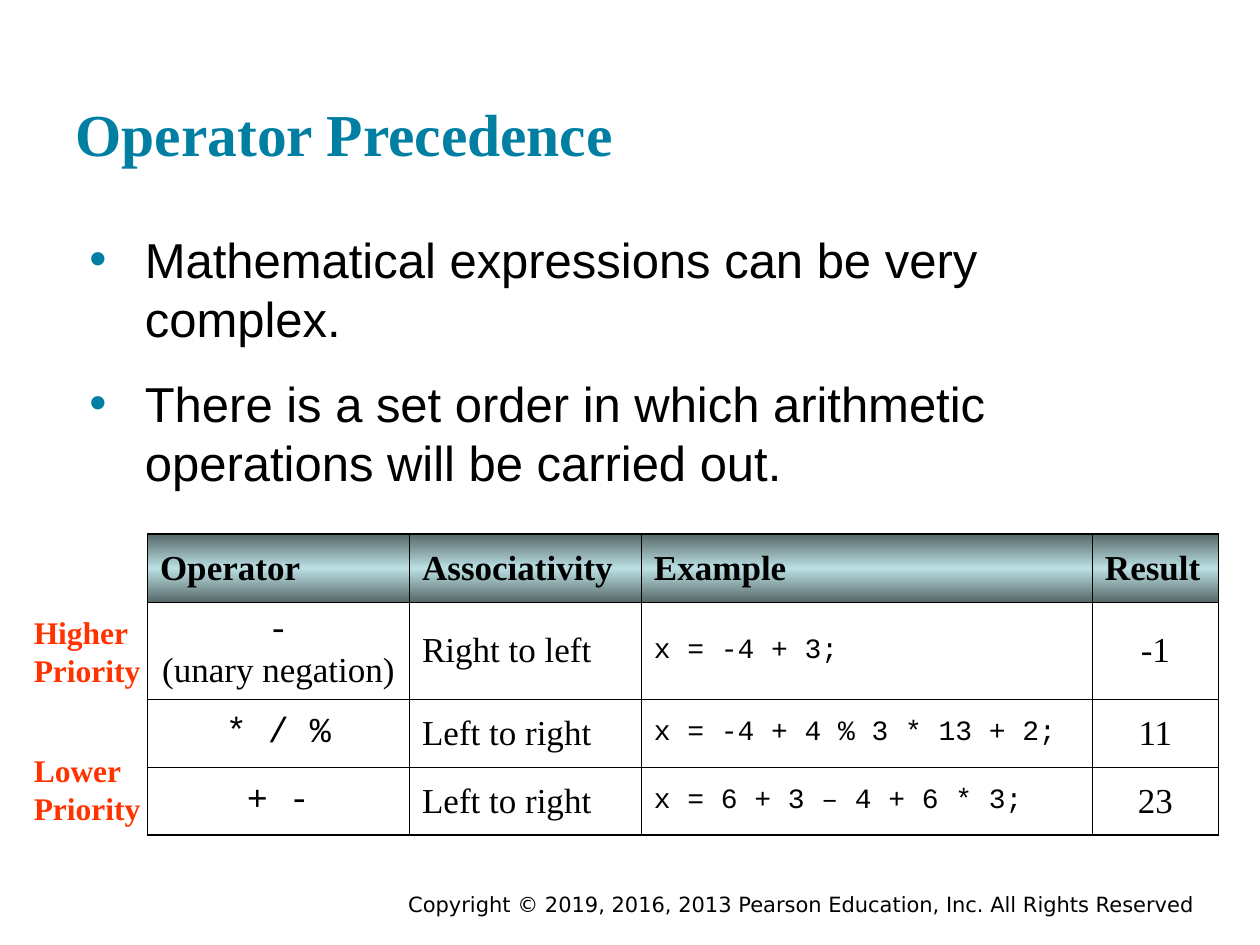
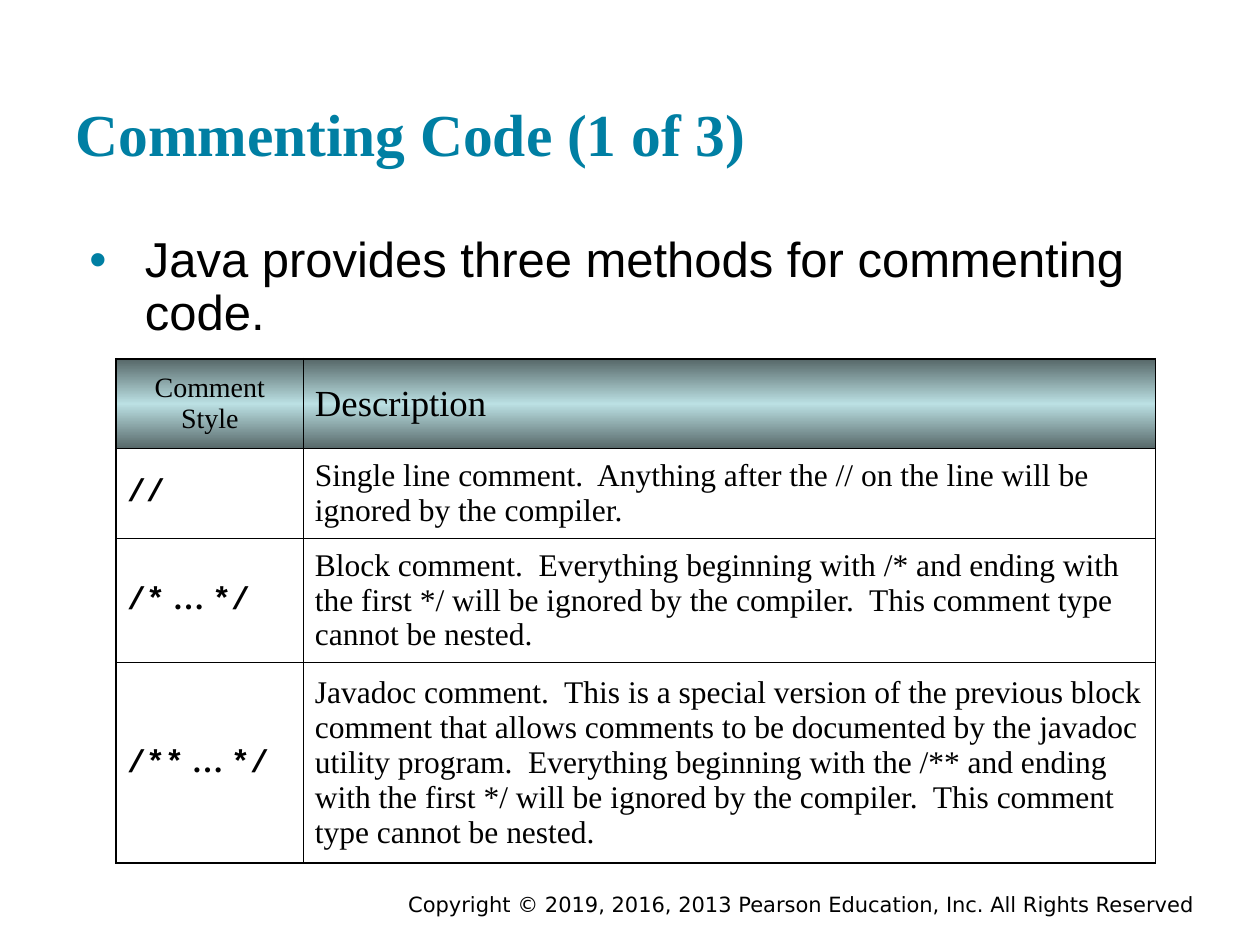
from dataclasses import dataclass
from typing import Sequence

from lxml import etree
from pptx import Presentation
from pptx.dml.color import RGBColor
from pptx.enum.text import MSO_ANCHOR as Anchor, MSO_AUTO_SIZE as AutoSize, PP_ALIGN as Align
from pptx.oxml import parse_xml
from pptx.oxml.ns import qn
from pptx.util import Pt

PX = 9144
NAMESPACE = "http://schemas.openxmlformats.org/drawingml/2006/main"
COLORS = {
    "text": "000000",
    "accent": "007FA3",
    "priority": "FF3300",
    "header_edge": "576869",
    "header_middle": "BBE0E3",
}
SERIF, SANS, MONO, FOOTER = "Times New Roman", "Arial", "Courier New", "DejaVu Sans"
INNER_LINE, OUTER_LINE = 0.45, 1.08
COPYRIGHT = "Copyright © 2019, 2016, 2013 Pearson Education, Inc. All Rights Reserved"


@dataclass(frozen=True)
class Style:
    font: str
    size: int
    bold: bool = False
    color: str = "text"


@dataclass(frozen=True)
class Box:
    left: int
    top: int
    width: int
    height: int

    def emu(self) -> list[int]:
        return [self.left * PX, self.top * PX, self.width * PX, self.height * PX]


@dataclass(frozen=True)
class Span:
    text: str
    style: Style


@dataclass(frozen=True)
class Cell:
    spans: tuple[Span, ...]
    align: Align = Align.LEFT


@dataclass(frozen=True)
class Grid:
    left: int
    top: int
    columns: tuple[int, ...]
    rows: tuple[int, ...]
    side_margin: int
    top_line: float
    cells: Sequence[Sequence[Cell]]


@dataclass(frozen=True)
class Label:
    lines: tuple[str, ...]
    box: Box


@dataclass(frozen=True)
class Page:
    title: str
    bullets: tuple[str, ...]
    body_top: int
    line_spacing: float
    grid: Grid
    labels: tuple[Label, ...] = ()


TITLE = Style(SERIF, 34, True, "accent")
BULLET = Style(SANS, 28)
COPYRIGHT_STYLE = Style(FOOTER, 12)
PRIORITY = Style(SERIF, 18, True, "priority")
HEADING = Style(SERIF, 20, True)
PLAIN = Style(SERIF, 20)
OPERATOR = Style(MONO, 20)
EXAMPLE = Style(MONO, 16)
MARK = Style(MONO, 18, True)
MARK_DOTS = Style(SERIF, 18, True)
DESCRIPTION = Style(SERIF, 18)


def cell(text: str, style: Style, align: Align = Align.LEFT) -> Cell:
    return Cell((Span(text, style),), align)


def operator_row(operator: Cell, order: str, example: str, result: str) -> list[Cell]:
    return [operator, cell(order, PLAIN), cell(example, EXAMPLE), cell(result, PLAIN, Align.CENTER)]


def block_mark(opening: str) -> Cell:
    return Cell((Span(opening, MARK), Span(" … ", MARK_DOTS), Span("*/", MARK)))


def set_attributes(target, values: dict) -> None:
    for name, value in values.items():
        setattr(target, name, value)


def write_span(paragraph, span: Span) -> None:
    style = span.style
    for index, line in enumerate(span.text.split("\n")):
        if index:
            paragraph.add_line_break()
        if line:
            run = paragraph.add_run()
            run.text = line
            set_attributes(run.font, {"name": style.font, "size": Pt(style.size), "bold": style.bold})
            run.font.color.rgb = RGBColor.from_string(COLORS[style.color])


def write_lines(frame, lines: Sequence[str], style: Style, paragraph_format: dict) -> None:
    for index, line in enumerate(lines):
        paragraph = frame.add_paragraph() if index else frame.paragraphs[0]
        set_attributes(paragraph, paragraph_format)
        write_span(paragraph, Span(line, style))


def format_placeholder(shape, box: Box, anchor: Anchor) -> None:
    set_attributes(shape, dict(zip(("left", "top", "width", "height"), box.emu())))
    margins = {f"margin_{side}": 10 * PX for side in ("left", "top", "right", "bottom")}
    set_attributes(shape.text_frame, {
        **margins, "word_wrap": True, "auto_size": AutoSize.NONE, "vertical_anchor": anchor,
    })


def add_bullet(paragraph) -> None:
    properties = paragraph._p.get_or_add_pPr()
    properties.set("marL", str(55 * PX))
    properties.set("indent", str(-44 * PX))
    bullet_color = etree.SubElement(properties, qn("a:buClr"))
    etree.SubElement(bullet_color, qn("a:srgbClr"), val=COLORS["accent"])
    etree.SubElement(properties, qn("a:buFont"), typeface=SANS)
    etree.SubElement(properties, qn("a:buChar"), char="•")


def draw_body(shape, page: Page) -> None:
    format_placeholder(shape, Box(50, page.body_top, 900, 495), Anchor.TOP)
    write_lines(shape.text_frame, page.bullets, BULLET, {"line_spacing": page.line_spacing})
    for index, paragraph in enumerate(shape.text_frame.paragraphs):
        paragraph.space_before = Pt(15 if index else 0)
        add_bullet(paragraph)


def draw_text(slide, box: Box, lines: Sequence[str], style: Style, frame_format: dict, align: Align) -> None:
    shape = slide.shapes.add_textbox(*box.emu())
    set_attributes(shape.text_frame, frame_format)
    write_lines(shape.text_frame, lines, style, {"alignment": align})


def border(side: str, width: float):
    return parse_xml(
        f'<a:ln{side} xmlns:a="{NAMESPACE}" w="{Pt(width)}"><a:solidFill>'
        f'<a:srgbClr val="{COLORS["text"]}"/></a:solidFill></a:ln{side}>'
    )


def header_gradient():
    stops = "".join(
        f'<a:gs pos="{position * 1000}"><a:srgbClr val="{COLORS[name]}"/></a:gs>'
        for position, name in ((0, "header_edge"), (50, "header_middle"), (100, "header_edge"))
    )
    return parse_xml(
        f'<a:gradFill xmlns:a="{NAMESPACE}" rotWithShape="1"><a:gsLst>{stops}</a:gsLst>'
        '<a:lin ang="5400000" scaled="0"/></a:gradFill>'
    )


def draw_grid(slide, grid: Grid) -> None:
    box = Box(grid.left, grid.top, sum(grid.columns), sum(grid.rows))
    table = slide.shapes.add_table(len(grid.rows), len(grid.columns), *box.emu()).table
    set_attributes(table, {"first_row": False, "horz_banding": False})
    for column, width in zip(table.columns, grid.columns):
        column.width = width * PX
    for row, height in zip(table.rows, grid.rows):
        row.height = height * PX
    last_row, last_column = len(grid.rows) - 1, len(grid.columns) - 1
    for row_index, row_cells in enumerate(grid.cells):
        for column_index, content in enumerate(row_cells):
            table_cell = table.cell(row_index, column_index)
            set_attributes(table_cell, {
                "vertical_anchor": Anchor.MIDDLE,
                "margin_left": grid.side_margin * PX, "margin_right": grid.side_margin * PX,
                "margin_top": 5 * PX, "margin_bottom": 5 * PX,
            })
            paragraph = table_cell.text_frame.paragraphs[0]
            paragraph.alignment = content.align
            for span in content.spans:
                write_span(paragraph, span)
            widths = {
                "L": INNER_LINE if column_index else OUTER_LINE,
                "R": OUTER_LINE if column_index == last_column else INNER_LINE,
                "T": INNER_LINE if row_index else grid.top_line,
                "B": OUTER_LINE if row_index == last_row else INNER_LINE,
            }
            properties = table_cell._tc.get_or_add_tcPr()
            for side, width in widths.items():
                properties.append(border(side, width))
            if row_index:
                table_cell.fill.background()
            else:
                properties.append(header_gradient())


def draw_page(presentation, page: Page) -> None:
    slide = presentation.slides.add_slide(presentation.slide_layouts[1])
    title, body = slide.placeholders[0], slide.placeholders[1]
    format_placeholder(title, Box(50, 24, 900, 120), Anchor.BOTTOM)
    write_lines(title.text_frame, [page.title], TITLE, {"alignment": Align.LEFT})
    draw_body(body, page)
    draw_grid(slide, page.grid)
    label_format = {"word_wrap": False, "auto_size": AutoSize.SHAPE_TO_FIT_TEXT}
    for label in page.labels:
        draw_text(slide, label.box, label.lines, PRIORITY, label_format, Align.LEFT)
    draw_text(slide, Box(175, 703, 783, 22), [COPYRIGHT], COPYRIGHT_STYLE, {"word_wrap": True}, Align.RIGHT)


UNARY = Cell((Span("-\n", OPERATOR), Span("(unary negation)", PLAIN)), Align.CENTER)
PAGES = (
    Page(
        "Operator Precedence",
        (
            "Mathematical expressions can be very complex.",
            "There is a set order in which arithmetic operations will be carried out.",
        ),
        172, 1.0,
        Grid(117, 424, (208, 184, 358, 100), (54, 77, 54, 54), 10, OUTER_LINE, (
            [cell(name, HEADING) for name in ("Operator", "Associativity", "Example", "Result")],
            operator_row(UNARY, "Right to left", "x = -4 + 3;", "-1"),
            operator_row(cell("* / %", OPERATOR, Align.CENTER), "Left to right", "x = -4 + 4 % 3 * 13 + 2;", "11"),
            operator_row(cell("+ -", OPERATOR, Align.CENTER), "Left to right", "x = 6 + 3 – 4 + 6 * 3;", "23"),
        )),
        (
            Label(("Higher", "Priority"), Box(17, 482, 106, 70)),
            Label(("Lower", "Priority"), Box(17, 591, 106, 70)),
        ),
    ),
    Page(
        "Commenting Code (1 of 3)",
        ("Java provides three methods for commenting code.",),
        177, 0.9,
        Grid(92, 285, (149, 676), (71, 71, 99, 159), 9, 1.47, (
            [cell("Comment\nStyle", Style(SERIF, 16), Align.CENTER), cell("Description", Style(SERIF, 21))],
            [cell("//", MARK), cell(
                "Single line comment.  Anything after the // on the line will be ignored by the compiler.",
                DESCRIPTION)],
            [block_mark("/*"), cell(
                "Block comment.  Everything beginning with /* and ending with the first */ will be "
                "ignored by the compiler.  This comment type cannot be nested.", DESCRIPTION)],
            [block_mark("/**"), cell(
                "Javadoc comment.  This is a special version of the previous block comment that allows "
                "comments to be documented by the javadoc utility program.  Everything beginning with "
                "the /** and ending with the first */ will be ignored by the compiler.  This comment "
                "type cannot be nested.", DESCRIPTION)],
        )),
    ),
)


def main() -> None:
    presentation = Presentation()
    set_attributes(presentation, {"slide_width": 1000 * PX, "slide_height": 750 * PX})
    for page in PAGES:
        draw_page(presentation, page)
    presentation.save("out.pptx")


if __name__ == "__main__":
    main()
